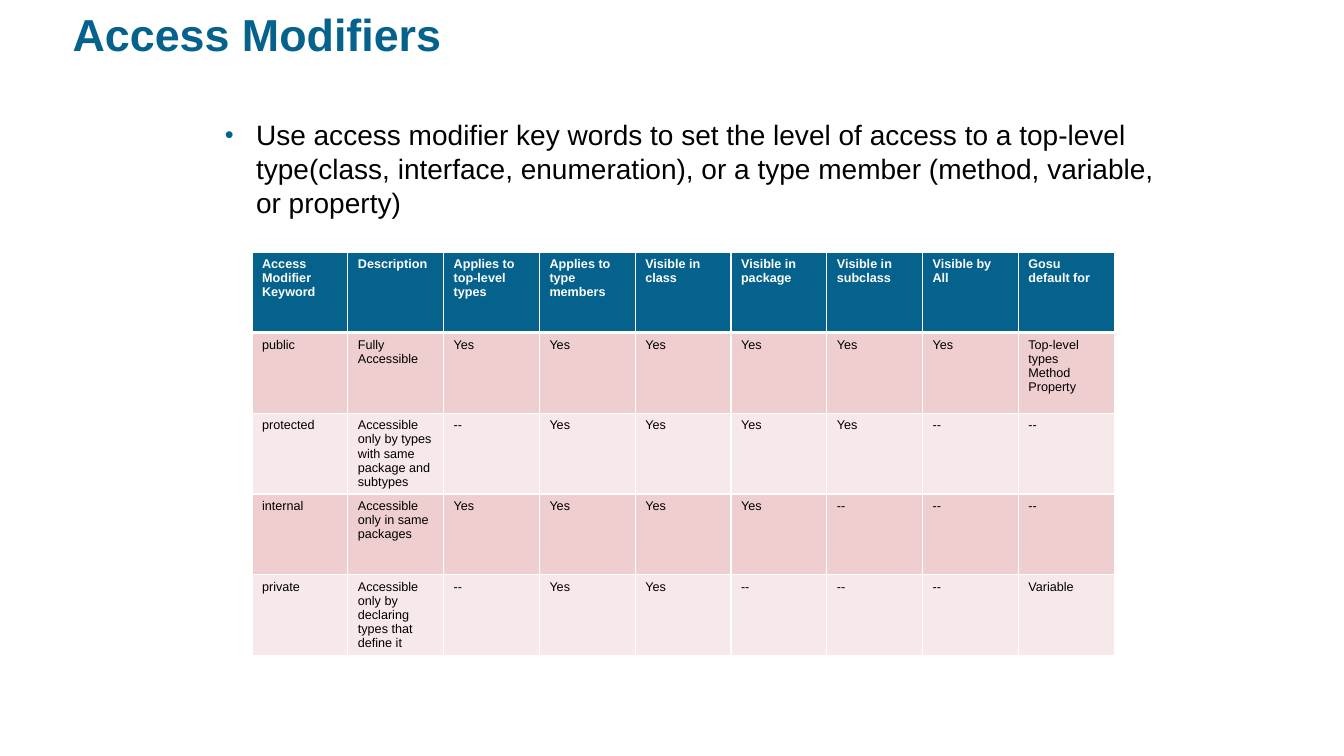
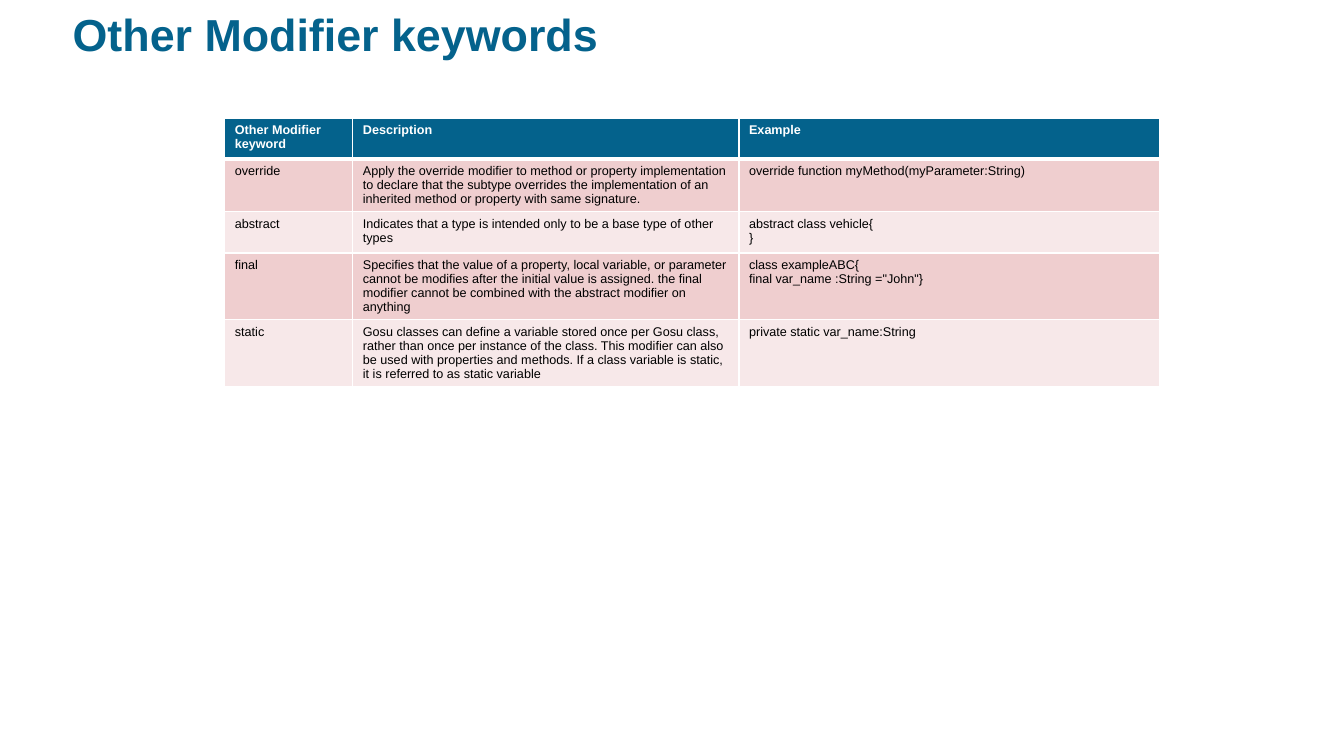
from lxml.etree import SubElement
from pptx import Presentation
from pptx.dml.color import RGBColor
from pptx.enum.text import MSO_ANCHOR, MSO_AUTO_SIZE, PP_ALIGN
from pptx.oxml.ns import qn
from pptx.util import Inches, Pt

FONT = "Arial"
BLUE = RGBColor(0x04, 0x62, 0x8C)
WHITE = RGBColor(0xFF, 0xFF, 0xFF)
BLACK = RGBColor(0x00, 0x00, 0x00)
BANDS = [RGBColor(0xEF, 0xCE, 0xCF), RGBColor(0xF7, 0xE8, 0xE9)]

TITLE_ONLY = 5
CONTENT_LEFT, CONTENT_TOP, CONTENT_WIDTH = 2.23, 1.17, 9.27

INTRO = ("Use access modifier key words to set the level of access to a top-level "
         "type(class, interface, enumeration), or a type member (method, variable, "
         "or property)")

ACCESS_ROWS = [
    ["Access Modifier Keyword", "Description", "Applies to top-level types",
     "Applies to type members", "Visible in class", "Visible in package",
     "Visible in subclass", "Visible by All", "Gosu default for"],
    ["public", "Fully Accessible", "Yes", "Yes", "Yes", "Yes", "Yes", "Yes",
     "Top-level types\nMethod\nProperty"],
    ["protected", "Accessible only by types with same package and subtypes",
     "--", "Yes", "Yes", "Yes", "Yes", "--", "--"],
    ["internal", "Accessible only in same packages",
     "Yes", "Yes", "Yes", "Yes", "--", "--", "--"],
    ["private", "Accessible only by declaring types that define it",
     "--", "Yes", "Yes", "--", "--", "--", "Variable"],
]

OTHER_ROWS = [
    ["Other Modifier keyword", "Description", "Example"],
    ["override",
     "Apply the override modifier to method or property implementation to declare "
     "that the subtype overrides the implementation of an inherited method or "
     "property with same signature.",
     "override function myMethod(myParameter:String)"],
    ["abstract",
     "Indicates that a type is intended only to be a base type of other types",
     "abstract class vehicle{\n}"],
    ["final",
     "Specifies that the value of a property, local variable, or parameter cannot "
     "be modifies after the initial value is assigned. the final modifier cannot be "
     "combined with the abstract modifier on anything",
     "class exampleABC{\nfinal var_name :String =\"John\"}"],
    ["static",
     "Gosu classes can define a variable stored once per Gosu class, rather than "
     "once per instance of the class. This modifier can also be used with properties "
     "and methods. If a class variable is static, it is referred to as static variable",
     "private static var_name:String"],
]


def set_text(tf, text, size, color=BLACK, bold=False, line_spacing=None, bullet=False):
    """Fill a text frame, one paragraph per line of text."""
    tf.word_wrap = True
    for i, line in enumerate(text.split("\n")):
        p = tf.paragraphs[0] if i == 0 else tf.add_paragraph()
        p.alignment = PP_ALIGN.LEFT
        if line_spacing:
            p.line_spacing = line_spacing
        if bullet:
            add_bullet(p)
        r = p.add_run()
        r.text = line
        r.font.name = FONT
        r.font.size = Pt(size)
        r.font.bold = bold
        r.font.color.rgb = color


def add_bullet(p):
    pPr = p._p.get_or_add_pPr()
    pPr.set("marL", str(Inches(0.31)))
    pPr.set("indent", str(-Inches(0.31)))
    color = SubElement(pPr, qn("a:buClr"))
    SubElement(color, qn("a:srgbClr"), val=str(BLUE))
    SubElement(pPr, qn("a:buSzPct"), val="90000")
    SubElement(pPr, qn("a:buFont"), typeface=FONT)
    SubElement(pPr, qn("a:buChar"), char="•")


def clear_frame(tf):
    """Remove margins and autofit, and start the text at the top."""
    tf.margin_left = tf.margin_top = tf.margin_right = tf.margin_bottom = 0
    tf.vertical_anchor = MSO_ANCHOR.TOP
    tf.auto_size = MSO_AUTO_SIZE.NONE


def add_slide(prs, title):
    s = prs.slides.add_slide(prs.slide_layouts[TITLE_ONLY])
    sp = s.shapes.title
    sp.left, sp.top = Inches(0.72), Inches(0.13)
    sp.width, sp.height = Inches(12.13), Inches(0.81)
    clear_frame(sp.text_frame)
    set_text(sp.text_frame, title, 32, color=BLUE, bold=True, line_spacing=0.9)
    return s


def add_bullet_text(s, text, height):
    sp = s.shapes.add_textbox(Inches(CONTENT_LEFT), Inches(CONTENT_TOP),
                              Inches(CONTENT_WIDTH), Inches(height))
    clear_frame(sp.text_frame)
    set_text(sp.text_frame, text, 20, bullet=True)


def set_borders(cell, top=1, bottom=1):
    tcPr = cell._tc.get_or_add_tcPr()
    for side, width in (("L", 1), ("R", 1), ("T", top), ("B", bottom)):
        ln = SubElement(tcPr, qn(f"a:ln{side}"), w=str(Pt(width)))
        fill = SubElement(ln, qn("a:solidFill"))
        SubElement(fill, qn("a:srgbClr"), val=str(WHITE))


def add_banded_table(s, rows, left, top, col_widths, row_height):
    """Add a table with a blue header row, a thick rule below it and pink bands."""
    frame = s.shapes.add_table(len(rows), len(col_widths), Inches(left), Inches(top),
                               Inches(sum(col_widths)), Inches(row_height * len(rows)))
    table = frame.table
    table.horz_banding = False
    for column, width in zip(table.columns, col_widths):
        column.width = Inches(width)
    for i, row in enumerate(rows):
        header = i == 0
        table.rows[i].height = Inches(row_height)
        for j, text in enumerate(row):
            cell = table.cell(i, j)
            set_borders(cell, top=3 if i == 1 else 1, bottom=3 if header else 1)
            cell.fill.solid()
            cell.fill.fore_color.rgb = BLUE if header else BANDS[(i - 1) % 2]
            set_text(cell.text_frame, text, 9, color=WHITE if header else BLACK,
                     bold=header)


def main():
    prs = Presentation()
    prs.slide_width, prs.slide_height = Inches(13.33), Inches(7.5)

    s = add_slide(prs, "Access Modifiers")
    add_bullet_text(s, INTRO, 5.83)
    add_banded_table(s, ACCESS_ROWS, 2.5, 2.5, [0.95] * 9, 0.8)

    s = add_slide(prs, "Other Modifier keywords")
    add_banded_table(s, OTHER_ROWS, CONTENT_LEFT, CONTENT_TOP, [1.27, 3.83, 4.17], 0.41)

    prs.save("out.pptx")


if __name__ == "__main__":
    main()
